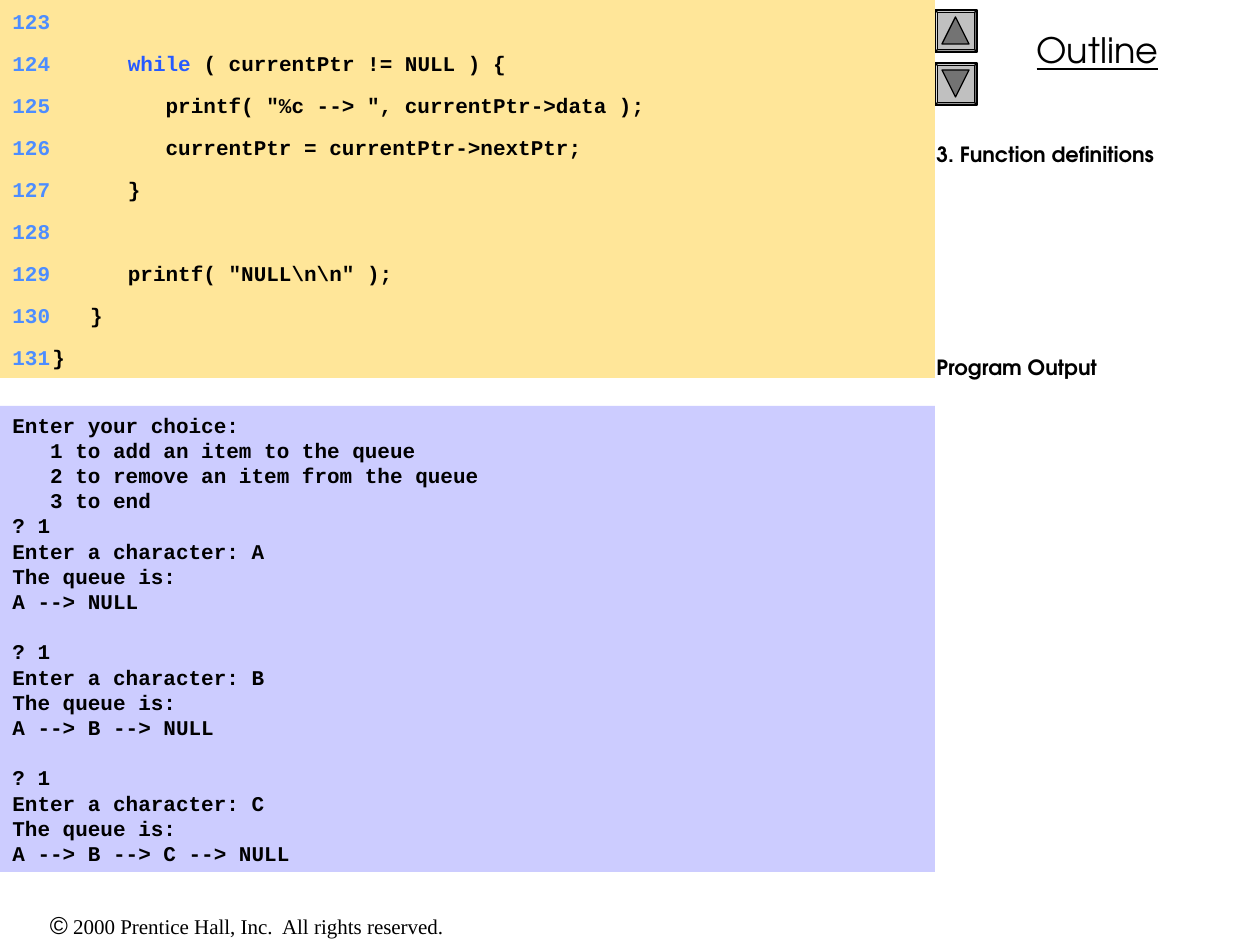
"""Build a code listing slide with program output and an outline sidebar."""
from lxml.etree import SubElement
from pptx import Presentation
from pptx.dml.color import RGBColor
from pptx.enum.shapes import MSO_SHAPE as Shape
from pptx.enum.text import MSO_ANCHOR as Anchor, PP_ALIGN as Align
from pptx.oxml.ns import qn
from pptx.util import Pt

PX = 914400 / 126
BLACK = RGBColor(0x00, 0x00, 0x00)
CODE_FILL = RGBColor(0xFF, 0xE6, 0x99)
OUTPUT_FILL = RGBColor(0xCC, 0xCC, 0xFF)
NUMBER_BLUE = RGBColor(0x4D, 0x8D, 0xFF)
KEYWORD_BLUE = RGBColor(0x27, 0x5A, 0xFF)
BUTTON_GRAY = RGBColor(0xC0, 0xC0, 0xC0)
ARROW_GRAY = RGBColor(0x73, 0x73, 0x73)
MONO = "Courier New"
SANS = "TeX Gyre Adventor"
LINE_PITCH = 14.4
PANEL_WIDTH = 935
ROW_HEIGHT = 42
NUMBER_TAB = 40
FIRST_NUMBER = 123

CODE = [
    [],
    [("      while", KEYWORD_BLUE), (" ( currentPtr != NULL ) {", BLACK)],
    [('         printf( "%c --> ", currentPtr->data );', BLACK)],
    [("         currentPtr = currentPtr->nextPtr;", BLACK)],
    [("      }", BLACK)],
    [],
    [('      printf( "NULL\\n\\n" );', BLACK)],
    [("   }", BLACK)],
    [("}", BLACK)],
]
OUTPUT = [
    [
        "Enter your choice:",
        "   1 to add an item to the queue",
        "   2 to remove an item from the queue",
        "   3 to end",
        "? 1",
        "Enter a character: A",
        "The queue is:",
        "A --> NULL",
    ],
    ["? 1", "Enter a character: B", "The queue is:", "A --> B --> NULL"],
    ["? 1", "Enter a character: C", "The queue is:", "A --> B --> C --> NULL"],
]


def px(*lengths):
    """Turn pixel lengths into EMU."""
    return [round(length * PX) for length in lengths]


def set_font(font, name, size, color=None, bold=False):
    """Format a font."""
    font.name, font.size, font.bold = name, Pt(size), bold
    if color is not None:
        font.color.rgb = color


def add_run(paragraph, text, color):
    """Add a coloured run to a paragraph."""
    run = paragraph.add_run()
    run.text = text
    run.font.color.rgb = color
    return run


def add_tab(paragraph, position):
    """Add one left tab stop to a paragraph."""
    tabs = SubElement(paragraph._p.get_or_add_pPr(), qn("a:tabLst"))
    SubElement(tabs, qn("a:tab"), pos=str(px(position)[0]), algn="l")


def add_shape(slide, kind, box, fill, outlined=False):
    """Add a flat filled shape."""
    shape = slide.shapes.add_shape(kind, *px(*box))
    shape.shadow.inherit = False
    shape.fill.solid()
    shape.fill.fore_color.rgb = fill
    if outlined:
        shape.line.color.rgb = BLACK
        shape.line.width = Pt(0.75)
    else:
        shape.line.fill.background()
    return shape


def add_textbox(slide, box, anchor):
    """Add an empty wrapping text box and return its text frame."""
    frame = slide.shapes.add_textbox(*px(*box)).text_frame
    frame.word_wrap = True
    frame.vertical_anchor = anchor
    return frame


def add_lines(frame, lines, name, gap=0):
    """Write (text, space before) lines in bold black."""
    for index, (text, space) in enumerate(lines):
        paragraph = frame.add_paragraph() if index else frame.paragraphs[0]
        paragraph.text = text
        paragraph.alignment = Align.LEFT
        paragraph.line_spacing = Pt(LINE_PITCH)
        if space:
            paragraph.space_before = Pt(space)
        set_font(paragraph.font, name, 12, BLACK, bold=True)


def add_title(slide):
    """Place and format the title."""
    title = slide.shapes.title
    title.left, title.top, title.width, title.height = px(935, 21, 325, 56)
    frame = title.text_frame
    frame.text = "Outline"
    frame.vertical_anchor = Anchor.MIDDLE
    paragraph = frame.paragraphs[0]
    paragraph.alignment = Align.CENTER
    set_font(paragraph.font, SANS, 20, BLACK)
    paragraph.font.underline = True


def add_code_row(slide, index, segments):
    """Add one numbered line of code."""
    box = (0, index * ROW_HEIGHT, PANEL_WIDTH, ROW_HEIGHT)
    frame = add_shape(slide, Shape.RECTANGLE, box, CODE_FILL).text_frame
    frame.vertical_anchor = Anchor.MIDDLE
    paragraph = frame.paragraphs[0]
    paragraph.alignment = Align.LEFT
    add_tab(paragraph, NUMBER_TAB)
    set_font(paragraph.font, MONO, 12, bold=True)
    add_run(paragraph, f"{FIRST_NUMBER + index}\t", NUMBER_BLUE)
    for text, color in segments:
        add_run(paragraph, text, color)


def add_output(slide):
    """Add the program output panel, with a line of space between blocks."""
    box = (0, 406, PANEL_WIDTH, 466)
    frame = add_shape(slide, Shape.RECTANGLE, box, OUTPUT_FILL).text_frame
    frame.vertical_anchor = Anchor.TOP
    lines = [
        (text, LINE_PITCH if block and not row else 0)
        for block, texts in enumerate(OUTPUT)
        for row, text in enumerate(texts)
    ]
    add_lines(frame, lines, MONO)


def add_button(slide, top, rotation):
    """Add a bevelled button with a triangle."""
    button = add_shape(slide, Shape.BEVEL, (935, top, 42, 42), BUTTON_GRAY, True)
    button.adjustments[0] = 0.06
    box = (942, top + 7, 27, 27)
    arrow = add_shape(slide, Shape.ISOSCELES_TRIANGLE, box, ARROW_GRAY, True)
    arrow.rotation = rotation


def add_footer(slide):
    """Add the copyright line."""
    frame = add_textbox(slide, (0, 903, 494, 43), Anchor.MIDDLE)
    paragraph = frame.paragraphs[0]
    paragraph.alignment = Align.CENTER
    symbol = add_run(paragraph, "©", BLACK)
    set_font(symbol.font, "Arial", 14)
    notice = add_run(paragraph, " 2000 Prentice Hall, Inc.  All rights reserved.", BLACK)
    set_font(notice.font, "Times New Roman", 12)


def main():
    """Build and save the slide."""
    presentation = Presentation()
    presentation.slide_width, presentation.slide_height = px(1260, 945)
    slide = presentation.slides.add_slide(presentation.slide_layouts[5])
    add_title(slide)
    add_footer(slide)
    for top, rotation in ((10, 0), (63, 180)):
        add_button(slide, top, rotation)
    sidebar = add_textbox(slide, (924, 135, 336, 810), Anchor.TOP)
    add_lines(sidebar, [("3. Function definitions", 0), ("Program Output", 107.4)], SANS)
    for index, segments in enumerate(CODE):
        add_code_row(slide, index, segments)
    add_output(slide)
    presentation.save("out.pptx")


if __name__ == "__main__":
    main()
